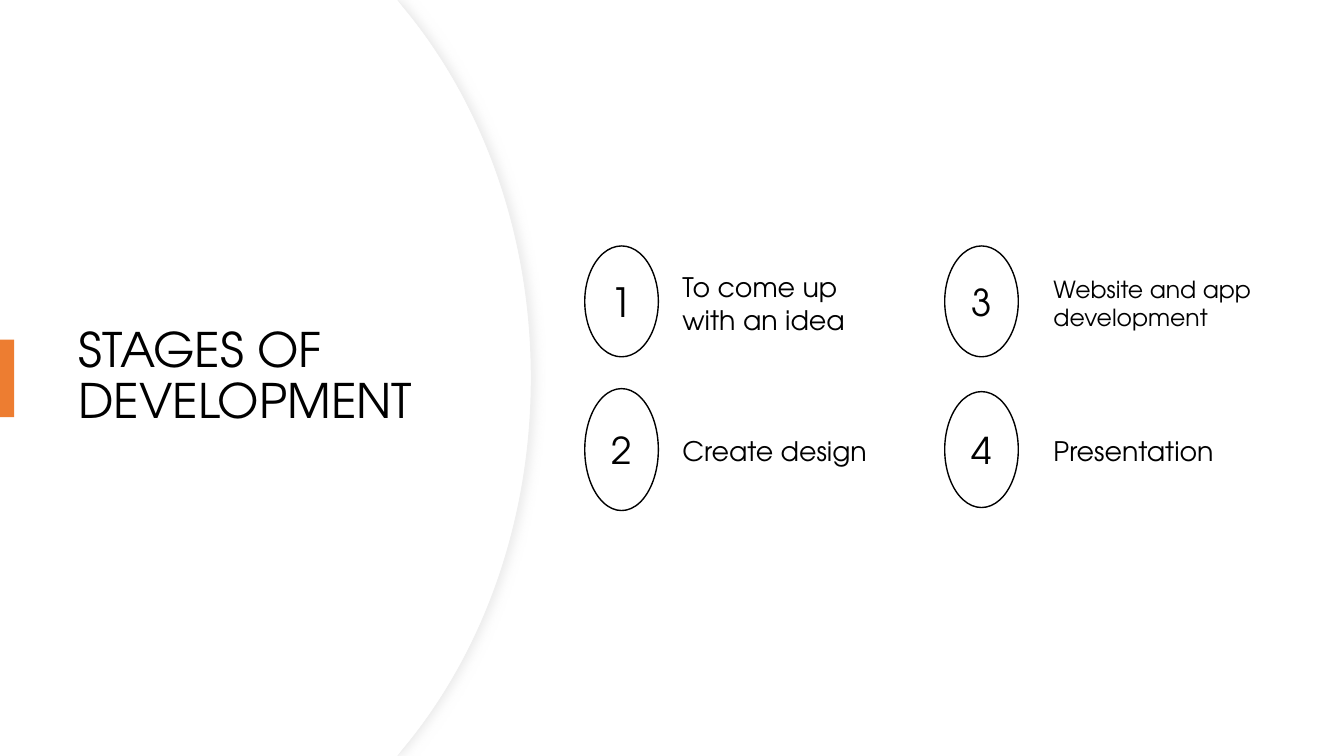
from dataclasses import dataclass

from lxml.etree import SubElement
from pptx import Presentation
from pptx.dml.color import RGBColor
from pptx.enum.shapes import MSO_SHAPE as Preset
from pptx.enum.text import MSO_ANCHOR as Anchor, MSO_AUTO_SIZE as AutoSize, PP_ALIGN as Align
from pptx.oxml.ns import qn
from pptx.util import Inches, Pt


@dataclass(frozen=True)
class Theme:
    font: str = "TeX Gyre Adventor"
    ink: str = "000000"
    paper: str = "FFFFFF"
    accent: str = "ED7D31"
    edge: str = "EFEFEF"
    shade: str = "D9D9D9"
    title_size: float = 34


THEME = Theme()
SLIDE_WIDTH, SLIDE_HEIGHT = 13.33, 7.5
MIDDLE = SLIDE_HEIGHT / 2
TITLE = "STAGES OF DEVELOPMENT"

# number, number size, oval height, label, label size, label width, label height
STAGES = [
    ("1", 28.8, 1.1, "To come up with an idea", 19.2, 2.28, 0.72),
    ("2", 26.4, 1.21, "Create design", 19.2, 2.14, 0.39),
    ("3", 26.4, 1.1, "Website and app development", 16.8, 2.41, 0.64),
    ("4", 26.4, 1.15, "Presentation", 19.2, 1.98, 0.39),
]
COLUMNS = [(5.8, 6.67), (9.37, 10.35)]
ROWS = [(2.99, 3.0), (4.46, 4.46)]
OVAL_WIDTH = 0.73


def box(left, top, width, height):
    return [Inches(value) for value in (left, top, width, height)]


def paint(shape, fill, line=None, line_width=1):
    shape.shadow.inherit = False
    shape.fill.solid()
    shape.fill.fore_color.rgb = RGBColor.from_string(fill)
    if line:
        shape.line.color.rgb = RGBColor.from_string(line)
        shape.line.width = Pt(line_width)
    else:
        shape.line.fill.background()


def write(frame, wording, size):
    frame.word_wrap = True
    paragraph = frame.paragraphs[0]
    paragraph.text = wording
    paragraph.font.name = THEME.font
    paragraph.font.size = Pt(size)
    paragraph.font.color.rgb = RGBColor.from_string(THEME.ink)
    return paragraph


def add_panel(shapes, right):
    upper = [(3.94, 0), (right - 1.26, 0.08), (right - 0.48, 1.02), (right, 2.32)]
    lower = [(x, SLIDE_HEIGHT - y) for x, y in reversed(upper)]
    outline = upper + [(right, MIDDLE)] + lower + [(0, SLIDE_HEIGHT)]
    builder = shapes.build_freeform(0, 0)
    builder.add_line_segments([(Inches(x), Inches(y)) for x, y in outline], close=True)
    panel = builder.convert_to_shape()
    segments = list(panel.element.iter(qn("a:lnTo")))
    for first in (2, 5):
        bend = segments[first:first + 3]
        curve = bend[0].makeelement(qn("a:cubicBezTo"))
        bend[0].addprevious(curve)
        for segment in bend:
            curve.append(segment[0])
            segment.getparent().remove(segment)
    return panel


def add_shadow(shape, color, opacity, blur, distance):
    effects = shape.element.spPr.find(qn("a:effectLst"))
    shadow = SubElement(effects, qn("a:outerShdw"), blurRad=str(Pt(blur)),
                        dist=str(Pt(distance)), dir="0", algn="l", rotWithShape="0")
    tint = SubElement(shadow, qn("a:srgbClr"), val=color)
    SubElement(tint, qn("a:alpha"), val=str(opacity * 1000))


def add_stage(shapes, stage, column, row):
    number, number_size, oval_height, label, label_size, width, height = stage
    oval_left, label_left = column
    oval_center, label_center = row
    oval = shapes.add_shape(
        Preset.OVAL, *box(oval_left, oval_center - oval_height / 2, OVAL_WIDTH, oval_height))
    paint(oval, THEME.paper, THEME.ink)
    oval.text_frame.vertical_anchor = Anchor.MIDDLE
    numeral = write(oval.text_frame, number, number_size)
    numeral.alignment = Align.CENTER
    numeral.space_after = Pt(6)
    caption = shapes.add_textbox(*box(label_left, label_center - height / 2, width, height))
    write(caption.text_frame, label, label_size).space_after = Pt(6)
    caption.text_frame.auto_size = AutoSize.SHAPE_TO_FIT_TEXT


def main():
    deck = Presentation()
    deck.slide_width, deck.slide_height = Inches(SLIDE_WIDTH), Inches(SLIDE_HEIGHT)
    slide = deck.slides.add_slide(deck.slide_layouts[5])
    shapes = slide.shapes

    panel_edge = add_panel(shapes, 5.27)
    paint(panel_edge, THEME.paper, THEME.edge, 0.75)
    add_shadow(panel_edge, THEME.shade, 50, 7, 3)
    paint(add_panel(shapes, 5.26), THEME.paper)

    title = shapes.title
    title.element.getparent().append(title.element)
    title.left, title.top, title.width, title.height = box(0.68, 1.27, 3.94, 4.95)
    title.text_frame.auto_size = AutoSize.NONE
    title.text_frame.vertical_anchor = Anchor.MIDDLE
    heading = write(title.text_frame, TITLE, THEME.title_size)
    heading.alignment = Align.LEFT
    heading.line_spacing = 0.9

    paint(shapes.add_shape(Preset.RECTANGLE, *box(0, 3.37, 0.14, 0.77)), THEME.accent)

    diagram = shapes.add_group_shape()
    for index, stage in enumerate(STAGES):
        column, row = divmod(index, len(ROWS))
        add_stage(diagram.shapes, stage, COLUMNS[column], ROWS[row])

    deck.save("out.pptx")


if __name__ == "__main__":
    main()
